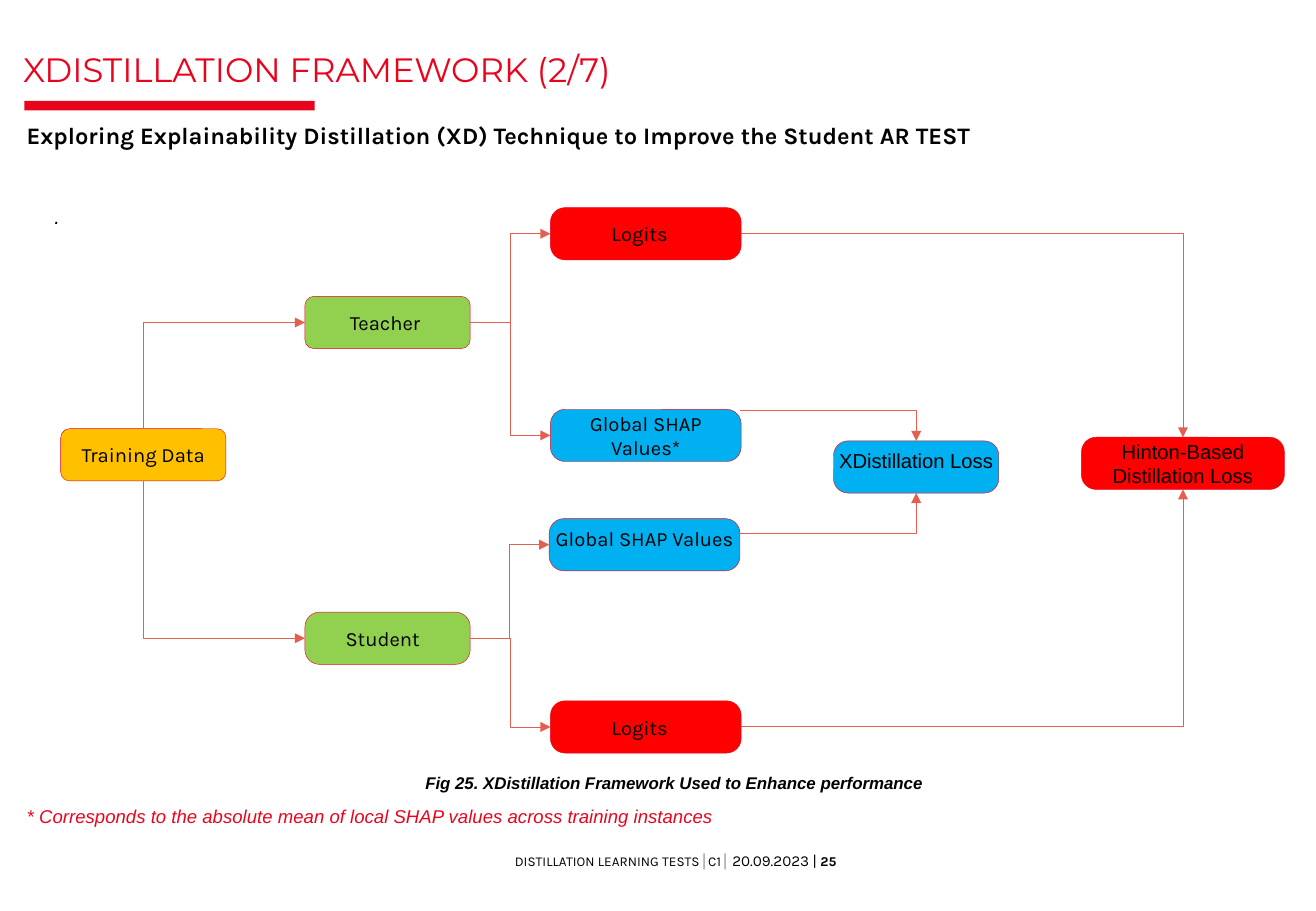
from lxml.etree import SubElement
from pptx import Presentation
from pptx.dml.color import RGBColor
from pptx.enum.shapes import MSO_CONNECTOR, MSO_SHAPE
from pptx.enum.text import MSO_ANCHOR, PP_ALIGN
from pptx.oxml.ns import qn
from pptx.util import Pt

PX = 9144
COLORS = {
    "ink": "010101", "grey": "808080", "accent": "E9041E", "arrow": "E55F50",
    "amber": "FFC000", "green": "92D050", "red": "FF0000", "blue": "00B0F0",
}
TOP, LEFT, BOTTOM, RIGHT = range(4)


def write(box, *spans, font="Karla", size=12, color="ink", bold=False, italic=False,
          align=PP_ALIGN.LEFT, anchor=MSO_ANCHOR.TOP, insets=(0, 0, 0, 0), spacing=None):
    frame = box.text_frame
    frame.word_wrap = True
    frame.vertical_anchor = anchor
    frame.margin_left, frame.margin_top, frame.margin_right, frame.margin_bottom = [
        inset * PX for inset in insets]
    para = frame.paragraphs[0]
    para.alignment = align
    if spacing:
        para.line_spacing = spacing
    for words, changes in spans:
        span = para.add_run()
        span.text = words
        span.font.name = font
        span.font.size = Pt(changes.get("size", size))
        span.font.bold = changes.get("bold", bold)
        span.font.italic = italic
        span.font.color.rgb = RGBColor.from_string(COLORS[changes.get("color", color)])


def draw_elbow(page, start, end, turns, head):
    line = page.shapes.add_connector(MSO_CONNECTOR.ELBOW, *[n * PX for n in start + end])
    line.line.color.rgb = RGBColor.from_string(COLORS["arrow"])
    line.line.width = Pt(0.5)
    properties = line._element.spPr
    properties.find(qn("a:prstGeom")).set("prst", f"bentConnector{turns + 1}")
    SubElement(properties.find(qn("a:ln")), qn(f"a:{head}")).set("type", "triangle")
    SubElement(properties, qn("a:effectLst"))
    return line


deck = Presentation()
deck.slide_width, deck.slide_height = 1083 * PX, 750 * PX
page = deck.slides.add_slide(deck.slide_layouts[6])

rule = page.shapes.add_shape(MSO_SHAPE.RECTANGLE, 20 * PX, 83 * PX, 239 * PX, 8 * PX)
rule.shadow.inherit = False
rule.fill.solid()
rule.fill.fore_color.rgb = RGBColor.from_string(COLORS["accent"])
rule.line.fill.background()

body = (10, 5, 10, 5)
tight = (4, 4, 4, 4)
footer = [
    ("DISTILLATION LEARNING TESTS", {}), ("│", {"color": "grey"}), ("C1", {}),
    ("│ ", {"color": "grey"}), ("20.09.2023 |", {"size": 9}), (" 25", {"bold": True}),
]
texts = [
    ((399, 701, 314, 15), footer,
     dict(size=8, align=PP_ALIGN.CENTER, anchor=MSO_ANCHOR.MIDDLE)),
    ((19, 47, 1064, 26), [("XDISTILLATION FRAMEWORK (2/7)", {})],
     dict(font="Montserrat", size=20, color="accent", anchor=MSO_ANCHOR.BOTTOM, spacing=0.75)),
    ((12, 95, 821, 34),
     [("Exploring Explainability Distillation (XD) Technique to Improve the Student AR TEST", {})],
     dict(size=14, bold=True, insets=body)),
    ((35, 163, 992, 30), [(".", {})], dict(font="Arial", italic=True, insets=body)),
    ((346, 632, 443, 25), [("Fig 25. XDistillation Framework Used to Enhance performance", {})],
     dict(font="Arial", size=10, bold=True, italic=True, insets=tight)),
    ((18, 659, 602, 26),
     [("* Corresponds to the absolute mean of local SHAP values across training instances", {})],
     dict(font="Arial", size=11, color="accent", italic=True, insets=tight)),
]
for place, spans, style in texts:
    write(page.shapes.add_textbox(*[n * PX for n in place]), *spans, **style)

middle, upper = MSO_ANCHOR.MIDDLE, MSO_ANCHOR.TOP
nodes = [
    ("training", "Training Data", 50, 353, 136, "amber", "Karla", middle, (0, 0, 0, 0)),
    ("teacher", "Teacher", 251, 244, 136, "green", "Karla", middle, (0, 0, 4, 0)),
    ("student", "Student", 251, 504, 136, "green", "Karla", middle, (0, 0, 8, 0)),
    ("teacher logits", "Logits", 453, 171, 157, "red", "Karla", middle, (0, 0, 10, 0)),
    ("teacher shap", "Global SHAP Values*", 453, 337, 157, "blue", "Karla", middle, (5, 0, 5, 0)),
    ("xd loss", "XDistillation Loss", 686, 363, 136, "blue", "Arial", upper, (0, 3, 0, 0)),
    ("hinton loss", "Hinton-Based Distillation Loss", 890, 360, 167, "red", "Arial", middle,
     (0, 0, 0, 0)),
    ("student shap", "Global SHAP Values", 452, 427, 157, "blue", "Karla", upper, (0, 3, 0, 0)),
    ("student logits", "Logits", 453, 577, 157, "red", "Karla", middle, (0, 0, 10, 0)),
]
boxes = {}
for name, label, left, top, width, fill, font, anchor, insets in nodes:
    box = page.shapes.add_shape(
        MSO_SHAPE.ROUNDED_RECTANGLE, left * PX, top * PX, width * PX, 43 * PX)
    box.adjustments[0] = 0.17 if name in ("training", "teacher") else 0.28
    box.shadow.inherit = False
    box.fill.solid()
    box.fill.fore_color.rgb = RGBColor.from_string(COLORS[fill])
    box.line.color.rgb = RGBColor.from_string(COLORS["accent"])
    box.line.width = Pt(0.25)
    write(box, (label, {}), font=font, align=PP_ALIGN.CENTER, anchor=anchor, insets=insets)
    boxes[name] = box

links = [
    ("teacher", LEFT, "training", TOP, (251, 266), (118, 353), 1, "headEnd"),
    ("student", LEFT, "training", BOTTOM, (251, 526), (118, 396), 1, "headEnd"),
    ("teacher", RIGHT, "teacher logits", LEFT, (387, 266), (453, 193), 2, "tailEnd"),
    ("teacher", RIGHT, "teacher shap", LEFT, (387, 266), (453, 358), 2, "tailEnd"),
    ("student", RIGHT, "student shap", LEFT, (387, 526), (452, 448), 2, "tailEnd"),
    ("student", RIGHT, "student logits", LEFT, (387, 526), (453, 598), 2, "tailEnd"),
    ("teacher logits", RIGHT, "hinton loss", TOP, (610, 193), (974, 360), 1, "tailEnd"),
    ("student logits", RIGHT, "hinton loss", BOTTOM, (610, 598), (974, 403), 1, "tailEnd"),
]
for source, source_side, target, target_side, start, end, turns, head in links:
    arrow = draw_elbow(page, start, end, turns, head)
    arrow.begin_connect(boxes[source], source_side)
    arrow.end_connect(boxes[target], target_side)

for start, end in [((609, 338), (754, 363)), ((608, 439), (754, 406))]:
    draw_elbow(page, start, end, 1, "tailEnd")

deck.save("out.pptx")
